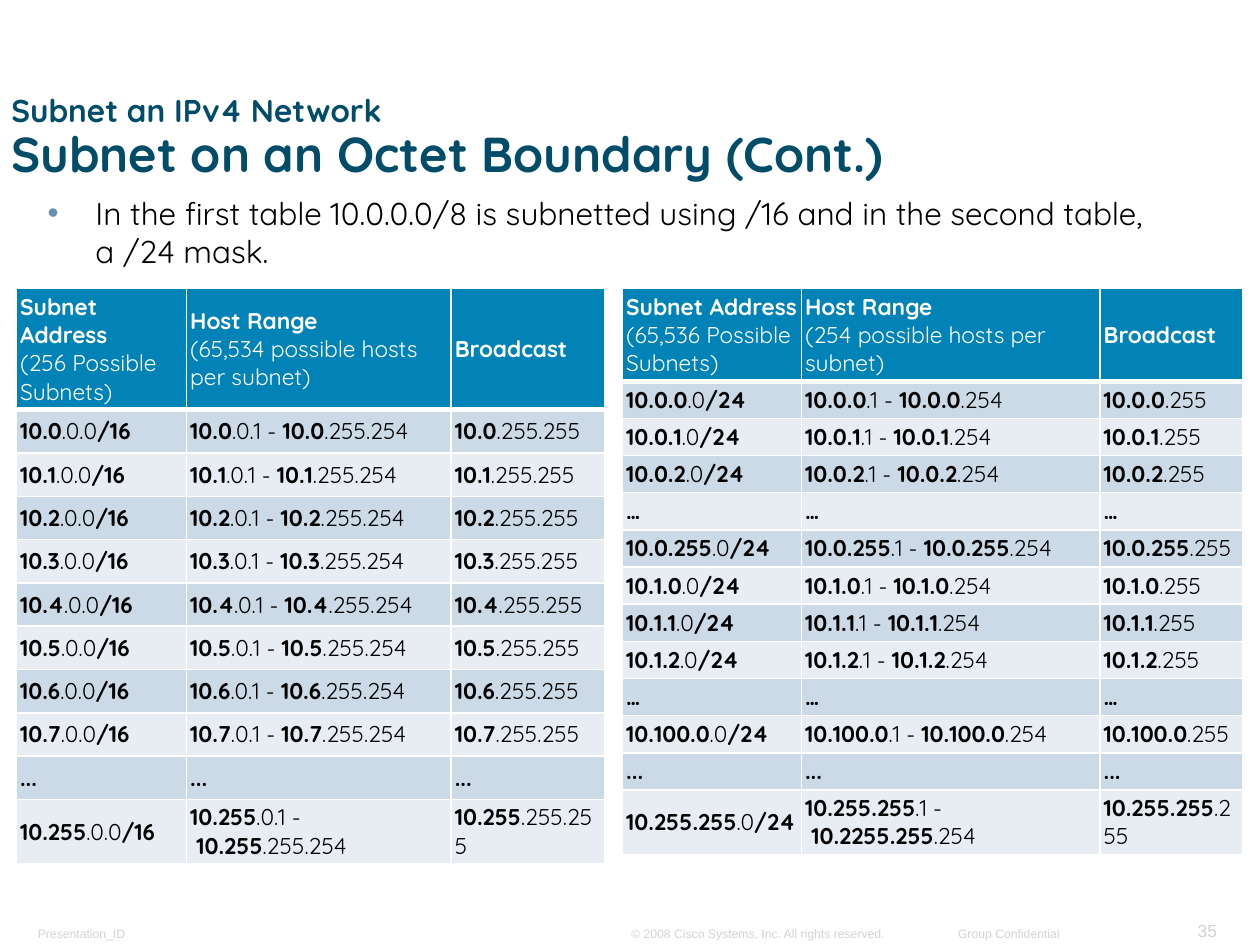
from copy import deepcopy
from dataclasses import dataclass

from lxml.etree import SubElement
from pptx import Presentation
from pptx.dml.color import RGBColor
from pptx.enum.text import MSO_ANCHOR, MSO_AUTO_SIZE, PP_ALIGN
from pptx.oxml import parse_xml
from pptx.oxml.ns import nsdecls, qn
from pptx.util import Inches, Pt

NO_BREAK_SPACE = chr(160)


@dataclass(frozen=True)
class Theme:
    font: str = "Quicksand"
    footer_font: str = "Arial"
    title: str = "004C69"
    text: str = "000000"
    bullet: str = "6B8FAE"
    footer: str = "D3D3D3"
    header_fill: str = "0183B7"
    band_fills: tuple = ("CCD9E6", "E7EDF3")
    white: str = "FFFFFF"
    kicker_size: float = 18
    title_size: float = 28
    body_size: float = 18
    table_size: float = 13
    footer_size: float = 7
    number_size: float = 10
    rule: float = 1
    header_rule: float = 3


@dataclass(frozen=True)
class SubnetPlan:
    """Prefixes of the subnets, with the endings that the mask leaves to hosts."""
    mask: str
    endings: tuple
    header: tuple
    prefixes: tuple

    def rows(self):
        network, first, last, broadcast = self.endings
        for prefix in self.prefixes:
            start, end = prefix if isinstance(prefix, tuple) else (prefix, prefix)
            if not start[0].isdigit():
                yield [[(start, True)]] * 3
                continue
            yield [
                [(start, True), (network, False), (self.mask, True)],
                [(start, True), (first + " -" + NO_BREAK_SPACE, False),
                 (end, True), (last, False)],
                [(start, True), (broadcast, False)],
            ]


class SlideBuilder:
    """Places elements on a grid of 100 columns by 75 rows."""

    def __init__(self, presentation, theme):
        self.theme = theme
        self.unit = presentation.slide_width / 100
        self.slide = presentation.slides.add_slide(presentation.slide_layouts[5])

    def lengths(self, *cells):
        return [round(cell * self.unit) for cell in cells]

    def style(self, run, size, color, bold=False, font=None):
        run.font.name = font or self.theme.font
        run.font.size = Pt(size)
        run.font.bold = bold
        run.font.color.rgb = RGBColor.from_string(color)

    def size_breaks(self, paragraph):
        """Give line breaks the format of the first run."""
        for line_break in paragraph._p.findall(qn("a:br")):
            line_break.append(deepcopy(paragraph.runs[0]._r.rPr))

    def frame(self, text_frame, anchor, side, edge, wrap=True):
        text_frame.word_wrap = wrap
        text_frame.auto_size = MSO_AUTO_SIZE.NONE
        text_frame.vertical_anchor = anchor
        text_frame.margin_left = text_frame.margin_right = Inches(side)
        text_frame.margin_top = text_frame.margin_bottom = Inches(edge)

    def title(self, kicker, heading, box):
        shape = self.slide.shapes.title
        shape.left, shape.top, shape.width, shape.height = self.lengths(*box)
        self.frame(shape.text_frame, MSO_ANCHOR.BOTTOM, 0.09, 0.04)
        shape.text_frame.text = kicker + "\v" + heading
        paragraph = shape.text_frame.paragraphs[0]
        paragraph.alignment = PP_ALIGN.LEFT
        paragraph.line_spacing = 0.9
        sizes = (self.theme.kicker_size, self.theme.title_size)
        for run, size in zip(paragraph.runs, sizes):
            self.style(run, size, self.theme.title, bold=True)
        self.size_breaks(paragraph)

    def bullet(self, text, box):
        shape = self.slide.shapes.add_textbox(*self.lengths(*box))
        self.frame(shape.text_frame, MSO_ANCHOR.TOP, 0.1, 0.05)
        shape.text_frame.text = text
        paragraph = shape.text_frame.paragraphs[0]
        properties = paragraph._p.get_or_add_pPr()
        indent = Inches(0.38)
        properties.set("marL", str(indent))
        properties.set("indent", str(-indent))
        color = SubElement(properties, qn("a:buClr"))
        SubElement(color, qn("a:srgbClr"), val=self.theme.bullet)
        SubElement(properties, qn("a:buFont"), typeface="Arial")
        SubElement(properties, qn("a:buChar"), char="•")
        self.style(paragraph.runs[0], self.theme.body_size, self.theme.text)

    def footer(self, text, box, size=None, align=PP_ALIGN.LEFT):
        shape = self.slide.shapes.add_textbox(*self.lengths(*box))
        self.frame(shape.text_frame, MSO_ANCHOR.BOTTOM, 0.09, 0.04, wrap=False)
        shape.text_frame.text = text
        paragraph = shape.text_frame.paragraphs[0]
        paragraph.alignment = align
        self.style(paragraph.runs[0], size or self.theme.footer_size,
                   self.theme.footer, font=self.theme.footer_font)

    def cell(self, cell, fill, top, bottom):
        """Set margins, fill and white rules of a table cell."""
        cell.vertical_anchor = MSO_ANCHOR.MIDDLE
        cell.margin_left = cell.margin_right = Inches(0.03)
        cell.margin_top = cell.margin_bottom = Inches(0.03)
        cell.fill.solid()
        cell.fill.fore_color.rgb = RGBColor.from_string(fill)
        rule = self.theme.rule
        sides = (("lnL", rule), ("lnR", rule), ("lnT", top), ("lnB", bottom))
        for position, (side, width) in enumerate(sides):
            cell._tc.get_or_add_tcPr().insert(position, parse_xml(
                f'<a:{side} {nsdecls("a")} w="{Pt(width)}"><a:solidFill>'
                f'<a:srgbClr val="{self.theme.white}"/></a:solidFill></a:{side}>'))

    def subnet_table(self, plan, box, columns, header_height, row_height):
        theme = self.theme
        rows = list(plan.rows())
        shape = self.slide.shapes.add_table(
            len(rows) + 1, len(columns), *self.lengths(*box))
        table = shape.table
        for column, width in zip(table.columns, self.lengths(*columns)):
            column.width = width
        heights = [header_height] + [row_height] * len(rows)
        for row, height in zip(table.rows, self.lengths(*heights)):
            row.height = height
        shape.height = self.lengths(box[3])[0]

        for cell, text in zip(table.rows[0].cells, plan.header):
            self.cell(cell, theme.header_fill, theme.rule, theme.header_rule)
            cell.text_frame.text = text
            paragraph = cell.text_frame.paragraphs[0]
            for position, run in enumerate(paragraph.runs):
                self.style(run, theme.table_size, theme.white, bold=position == 0)
            self.size_breaks(paragraph)

        for index, row in enumerate(rows):
            top = theme.rule if index else theme.header_rule
            for cell, pieces in zip(table.rows[index + 1].cells, row):
                self.cell(cell, theme.band_fills[index % 2], top, theme.rule)
                paragraph = cell.text_frame.paragraphs[0]
                for text, bold in pieces:
                    run = paragraph.add_run()
                    run.text = text
                    self.style(run, theme.table_size, theme.text, bold)


def main():
    presentation = Presentation()
    presentation.slide_width, presentation.slide_height = Inches(10), Inches(7.5)
    theme = Theme()
    builder = SlideBuilder(presentation, theme)

    builder.footer("Presentation_ID", (2.1, 73, 10.5, 2.1))
    builder.footer("35", (94, 72.5, 3.5, 2.6), theme.number_size, PP_ALIGN.RIGHT)
    builder.footer("© 2008 Cisco Systems, Inc. All rights reserved.",
                   (49.2, 73, 22.1, 2.1))
    builder.footer("Group Confidential", (75.4, 73, 9.6, 2.1), align=PP_ALIGN.RIGHT)
    builder.title("Subnet an IPv4 Network", "Subnet on an Octet Boundary (Cont.)",
                  (0, 6.9, 91.3, 8))
    builder.bullet("In the first table 10.0.0.0/8 is subnetted using /16 and in "
                   "the second table, a /24 mask.", (2.8, 14.9, 90.6, 4))

    wide_subnets = SubnetPlan(
        "/16", (".0.0", ".0.1", ".255.254", ".255.255"),
        ("Subnet Address\v(256 Possible Subnets)",
         "Host Range\v(65,534 possible hosts per subnet)", "Broadcast"),
        (*(f"10.{octet}" for octet in range(8)), "...", "10.255"))
    narrow_subnets = SubnetPlan(
        "/24", (".0", ".1", ".254", ".255"),
        ("Subnet Address\v(65,536 Possible Subnets)",
         "Host Range\v(254 possible hosts per subnet)", "Broadcast"),
        ("10.0.0", "10.0.1", "10.0.2", "…", "10.0.255", "10.1.0", "10.1.1",
         "10.1.2", "…", "10.100.0", "...", ("10.255.255", "10.2255.255")))
    builder.subnet_table(wide_subnets, (1.3, 22.9, 46.8, 45.4),
                         (13.5, 21, 12.2), 6.2, 3.44)
    builder.subnet_table(narrow_subnets, (49.4, 22.9, 49.2, 45.9),
                         (14.2, 23.7, 11.3), 6.1, 2.95)

    presentation.save("out.pptx")


if __name__ == "__main__":
    main()
